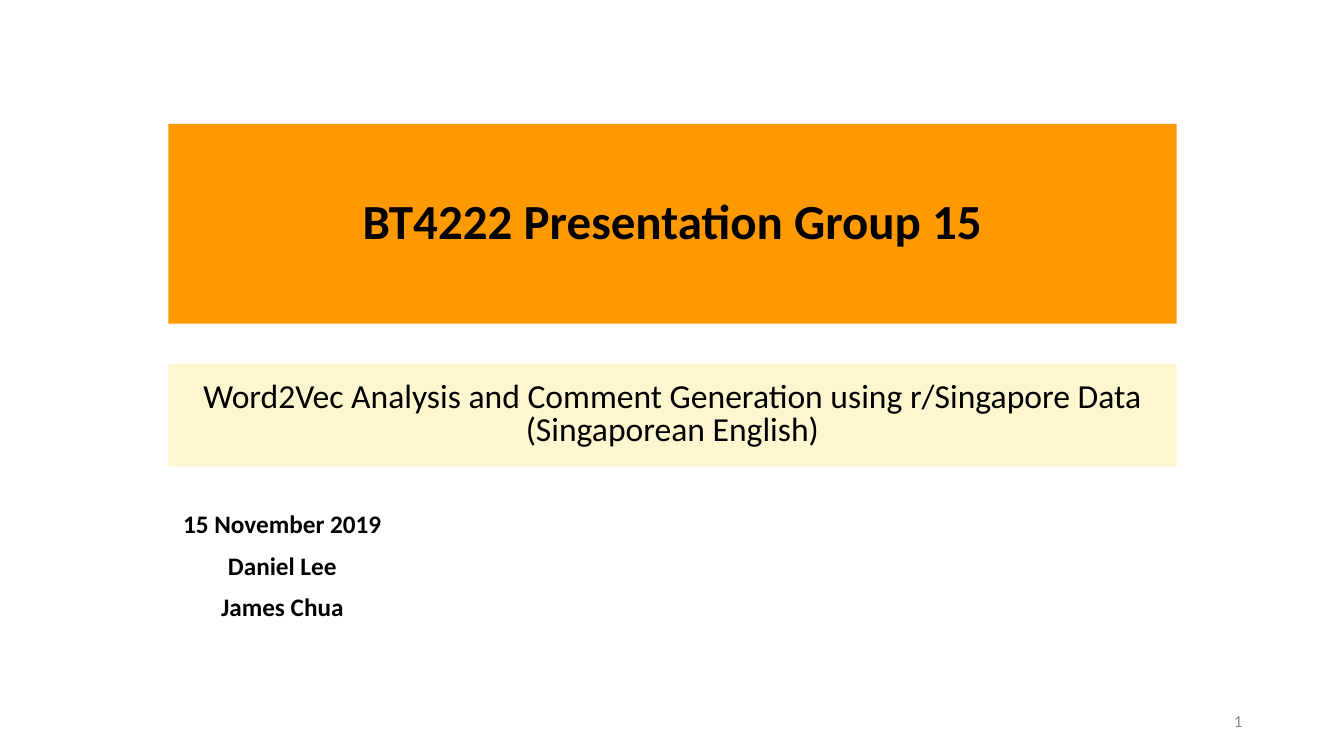
from dataclasses import dataclass

from pptx import Presentation
from pptx.dml.color import RGBColor
from pptx.enum.shapes import MSO_SHAPE
from pptx.enum.text import MSO_ANCHOR, MSO_AUTO_SIZE, PP_ALIGN
from pptx.util import Inches, Pt

RECTANGLE = MSO_SHAPE.RECTANGLE
TOP, MIDDLE = MSO_ANCHOR.TOP, MSO_ANCHOR.MIDDLE
CENTER, RIGHT = PP_ALIGN.CENTER, PP_ALIGN.RIGHT
NO_AUTOFIT = MSO_AUTO_SIZE.NONE


@dataclass(frozen=True)
class Theme:
    font: str = "Calibri"
    ink: str = "000000"
    muted: str = "888888"
    banner: str = "FF9900"
    panel: str = "FEF6CF"
    title_size: int = 35
    topic_size: int = 24
    author_size: int = 18
    number_size: int = 12


class CoverSlide:
    def __init__(self, deck, theme):
        self.theme = theme
        self.slide = deck.slides.add_slide(deck.slide_layouts[0])

    def set_text(self, shape, lines, size, color=None, bold=False, align=CENTER,
                 anchor=MIDDLE, line_spacing=1.0, gap=0):
        frame = shape.text_frame
        frame.text = "\n".join(lines)
        frame.word_wrap = True
        frame.auto_size = NO_AUTOFIT
        frame.vertical_anchor = anchor
        for index, paragraph in enumerate(frame.paragraphs):
            paragraph.alignment = align
            paragraph.line_spacing = line_spacing
            paragraph.space_before = Pt(gap if index else 0)
            for run in paragraph.runs:
                run.font.name = self.theme.font
                run.font.size = Pt(size)
                run.font.bold = bold
                run.font.color.rgb = RGBColor.from_string(color or self.theme.ink)

    def set_fill(self, shape, color):
        shape.fill.solid()
        shape.fill.fore_color.rgb = RGBColor.from_string(color)

    def place(self, shape, box):
        shape.left, shape.top, shape.width, shape.height = map(Inches, box)

    def title(self, text, box):
        banner = self.slide.shapes.title
        self.place(banner, box)
        self.set_fill(banner, self.theme.banner)
        self.set_text(banner, [text], self.theme.title_size, bold=True,
                      line_spacing=0.9)

    def authors(self, lines, box):
        byline = self.slide.placeholders[1]
        self.place(byline, box)
        self.set_text(byline, lines, self.theme.author_size, bold=True,
                      anchor=TOP, line_spacing=0.9, gap=10)

    def topic(self, lines, box):
        panel = self.slide.shapes.add_shape(RECTANGLE, *map(Inches, box))
        panel.shadow.inherit = False
        panel.line.fill.background()
        self.set_fill(panel, self.theme.panel)
        self.set_text(panel, lines, self.theme.topic_size, line_spacing=0.8)

    def page_number(self, text, box):
        number = self.slide.shapes.add_textbox(*map(Inches, box))
        self.set_text(number, [text], self.theme.number_size,
                      color=self.theme.muted, align=RIGHT)


def main():
    deck = Presentation()
    deck.slide_width, deck.slide_height = Inches(13.33), Inches(7.5)
    left, width = 1.67, 10

    cover = CoverSlide(deck, Theme())
    cover.title("BT4222 Presentation Group 15", (left, 1.23, width, 1.98))
    cover.authors(["15 November 2019", "Daniel Lee", "James Chua"],
                  (left, 5.03, 2.26, 0.7))
    cover.topic(["Word2Vec Analysis and Comment Generation using r/Singapore Data",
                 "(Singaporean English)"], (left, 3.61, width, 1.02))
    cover.page_number("1", (9.42, 6.95, 3, 0.4))
    deck.save("out.pptx")


if __name__ == "__main__":
    main()
